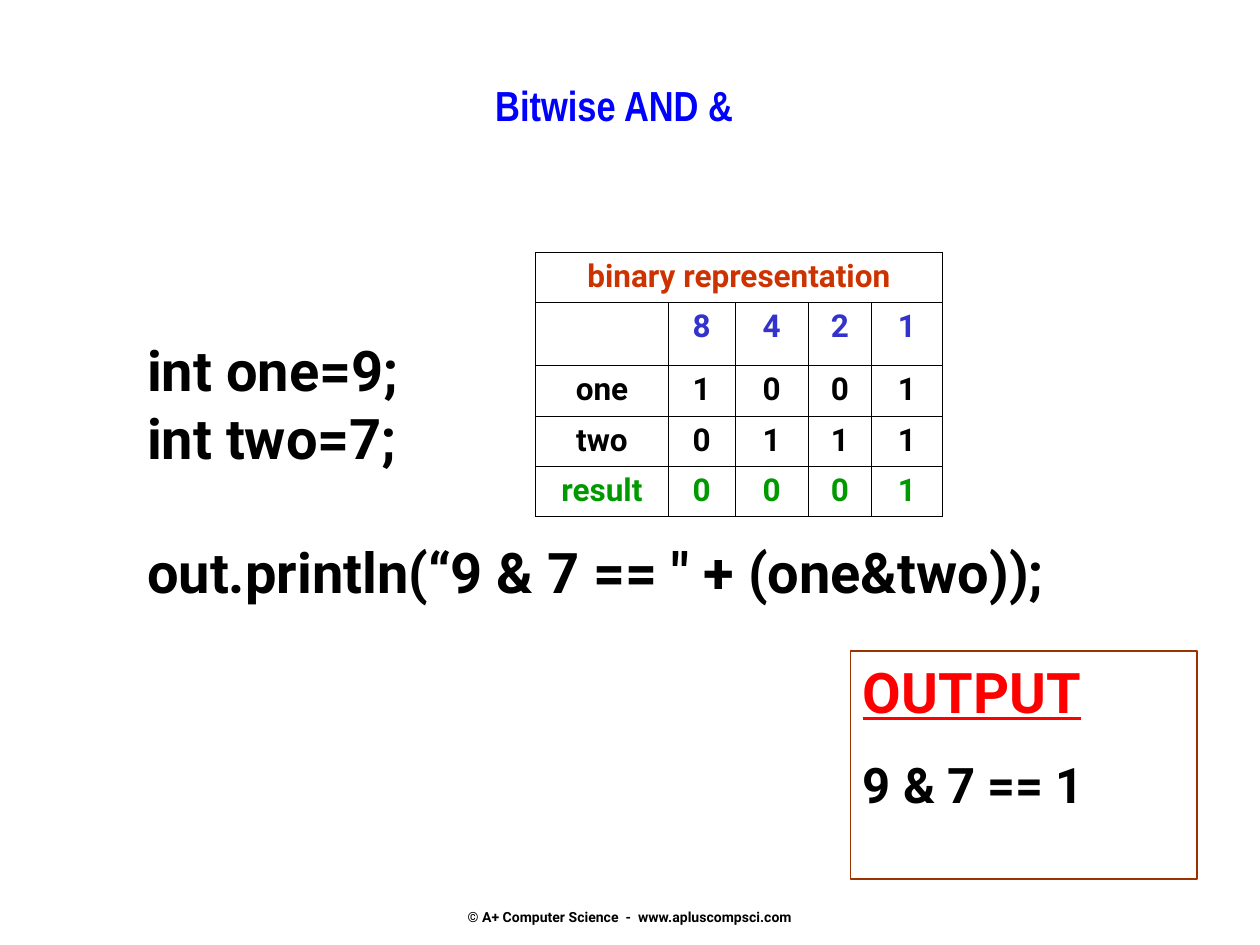
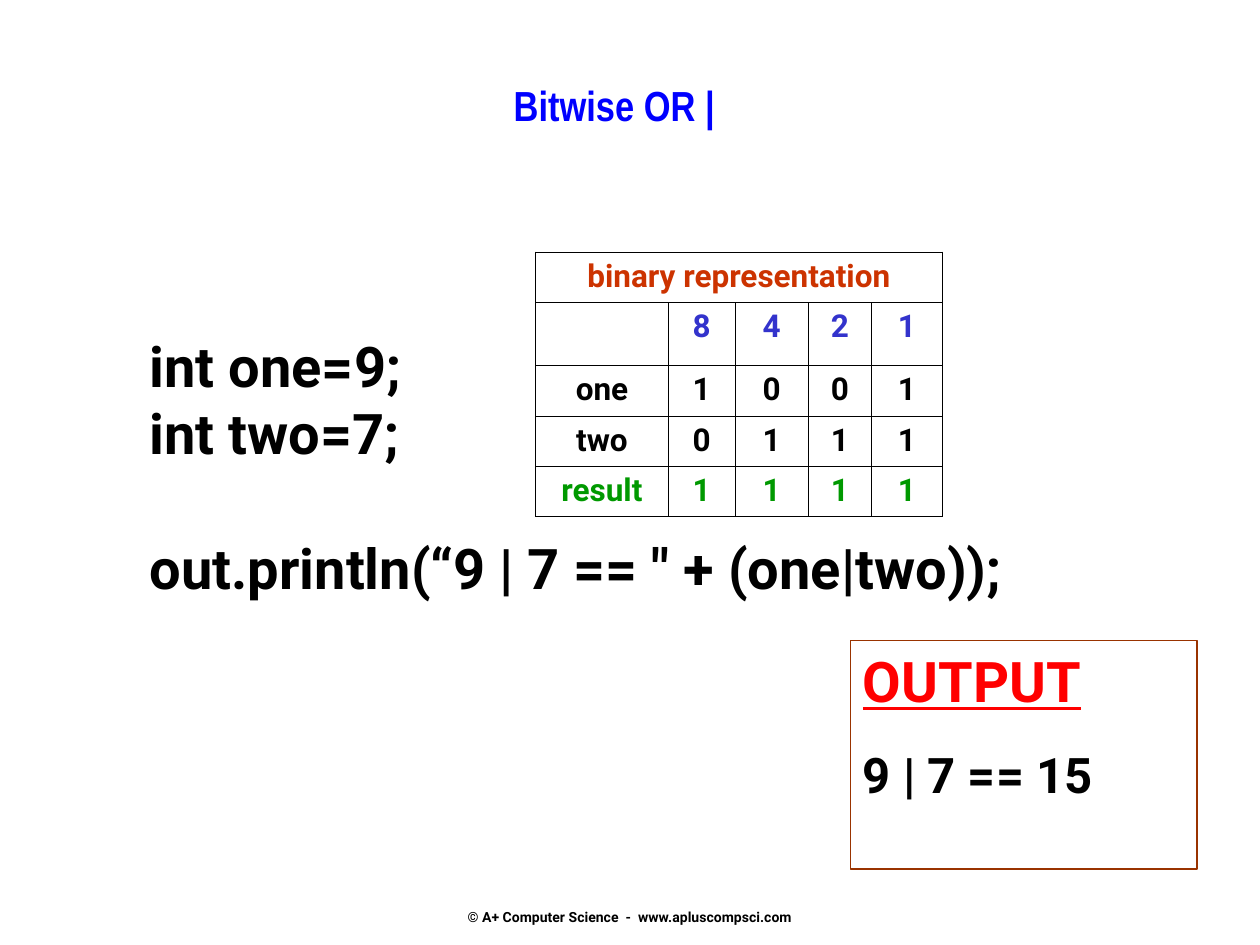
"""Build two slides that explain the bitwise AND and OR operators."""
from lxml.etree import SubElement
from pptx import Presentation
from pptx.dml.color import RGBColor
from pptx.enum.shapes import MSO_SHAPE as Shape
from pptx.enum.text import MSO_ANCHOR as Anchor, PP_ALIGN as Align
from pptx.oxml.ns import qn
from pptx.util import Pt

COLORS = {
    "title": "0000FF", "text": "000000", "heading": "CC3300", "places": "3333CC",
    "result": "009900", "output": "FF0000", "frame": "993300", "grid": "000000",
}
BODY_FONT = "Roboto"
TITLE_FONT = "Arial Narrow"
CODE_LINE = 38.4

TITLE_BOX = (66, 42, 570, 72)
FOOTER_BOX = (246, 493, 228, 36)
TABLE_BOX = (306, 144)
COLUMN_WIDTHS = (76, 38, 42, 36, 40.5)
ROW_HEIGHTS = (28.8, 36, 28.8, 28.8, 28.8)
PLACES = (8, 4, 2, 1)
ONE, TWO = 9, 7


def color(name):
    """Return the named colour."""
    return RGBColor.from_string(COLORS[name])


def format_paragraph(para, size, color_name, font=BODY_FONT, align=Align.LEFT):
    """Give a paragraph its alignment and its runs a bold font."""
    para.alignment = align
    for span in para.runs:
        span.font.name = font
        span.font.size = Pt(size)
        span.font.bold = True
        span.font.color.rgb = color(color_name)


def add_text(page, box, text, size, color_name, **style):
    """Add a wrapping text box and return its text frame."""
    frame = page.shapes.add_textbox(*map(Pt, box)).text_frame
    frame.word_wrap = True
    frame.text = text
    for para in frame.paragraphs:
        format_paragraph(para, size, color_name, **style)
    return frame


def add_title(page, box, title):
    """Add the centred slide title."""
    add_text(page, box, title, 24, "title", font=TITLE_FONT, align=Align.CENTER)


def add_footer(page, box):
    """Add the copyright line at the bottom of its box."""
    frame = add_text(page, box, "© A+ Computer Science  -  www.apluscompsci.com",
                     8, "text", align=Align.CENTER)
    frame.vertical_anchor = Anchor.BOTTOM
    frame.margin_bottom = 0


def add_code(page, box, sign):
    """Add the code sample, with a line's gap before the print statement."""
    lines = [f"int one={ONE};", f"int two={TWO};",
             f'out.println(“{ONE} {sign} {TWO} == " + (one{sign}two));']
    frame = add_text(page, box, "\n".join(lines), 32, "text")
    frame.paragraphs[-1].space_before = Pt(CODE_LINE)


def add_output(page, box, answer):
    """Add the framed program output."""
    panel = page.shapes.add_shape(Shape.RECTANGLE, *map(Pt, box))
    panel.shadow.inherit = False
    panel.fill.background()
    panel.line.color.rgb = color("frame")
    panel.line.width = Pt(1)
    frame = panel.text_frame
    frame.word_wrap = True
    frame.vertical_anchor = Anchor.TOP
    frame.text = f"OUTPUT\n{answer}"
    heading, value = frame.paragraphs
    format_paragraph(heading, 32, "output")
    heading.runs[0].font.underline = True
    format_paragraph(value, 28, "text")
    value.space_before = Pt(17.5)


def draw_borders(cell):
    """Draw a thin line on all four sides of a cell."""
    properties = cell._tc.get_or_add_tcPr()
    for position, side in enumerate(("a:lnL", "a:lnR", "a:lnT", "a:lnB")):
        line = SubElement(properties, qn(side), w=str(Pt(0.45)))
        fill = SubElement(line, qn("a:solidFill"))
        SubElement(fill, qn("a:srgbClr"), val=COLORS["grid"])
        properties.insert(position, line)


def add_bit_table(page, corner, result):
    """Add the table of the bits of both numbers and of the result."""
    rows = [
        ("heading", ["binary representation", "", "", "", ""]),
        ("places", ["", *map(str, PLACES)]),
        ("text", ["one", *f"{ONE:04b}"]),
        ("text", ["two", *f"{TWO:04b}"]),
        ("result", ["result", *f"{result:04b}"]),
    ]
    size = (sum(COLUMN_WIDTHS), sum(ROW_HEIGHTS))
    table = page.shapes.add_table(len(rows), len(COLUMN_WIDTHS),
                                  *map(Pt, corner + size)).table
    table.first_row = table.horz_banding = False
    for column, width in zip(table.columns, COLUMN_WIDTHS):
        column.width = Pt(width)
    for row, height in zip(table.rows, ROW_HEIGHTS):
        row.height = Pt(height)
    table.cell(0, 0).merge(table.cell(0, len(COLUMN_WIDTHS) - 1))
    for row, (color_name, texts) in zip(table.rows, rows):
        for cell, text in zip(row.cells, texts):
            cell.fill.background()
            draw_borders(cell)
            if text:
                cell.text = text
                format_paragraph(cell.text_frame.paragraphs[0], 18, color_name,
                                 align=Align.CENTER)


def add_operator_slide(deck, name, sign, result, code_box, output_box):
    """Add one slide about a bitwise operator."""
    page = deck.slides.add_slide(deck.slide_layouts[6])
    add_footer(page, FOOTER_BOX)
    add_title(page, TITLE_BOX, f"Bitwise {name} {sign}")
    add_code(page, code_box, sign)
    add_output(page, output_box, f"{ONE} {sign} {TWO} == {result}")
    add_bit_table(page, TABLE_BOX, result)


def main():
    """Build and save the deck."""
    deck = Presentation()
    deck.slide_width, deck.slide_height = Pt(720), Pt(540)
    add_operator_slide(deck, "AND", "&", ONE & TWO,
                       (77, 188.4, 581, 199), (486, 372, 198, 130.5))
    add_operator_slide(deck, "OR", "|", ONE | TWO,
                       (78.5, 186, 568, 199), (486, 366, 198, 130.5))
    deck.save("out.pptx")


if __name__ == "__main__":
    main()
